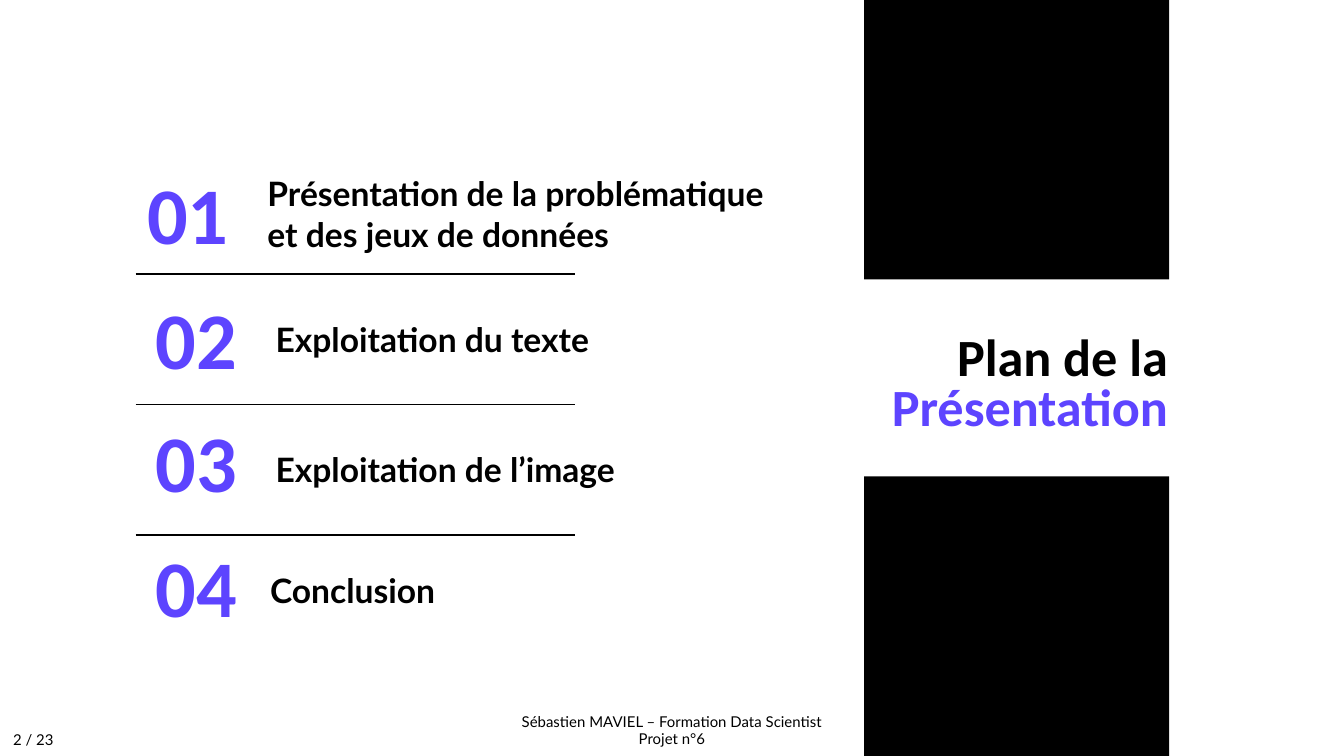
from dataclasses import dataclass

from lxml.etree import SubElement
from pptx import Presentation
from pptx.dml.color import RGBColor
from pptx.enum.shapes import MSO_CONNECTOR, MSO_SHAPE
from pptx.enum.text import MSO_ANCHOR, MSO_AUTO_SIZE, PP_ALIGN
from pptx.oxml.ns import qn
from pptx.util import Inches, Pt


@dataclass(frozen=True)
class Theme:
    ink: RGBColor = RGBColor(0, 0, 0)
    accent: RGBColor = RGBColor(0x5D, 0x44, 0xFF)
    paper: RGBColor = RGBColor(255, 255, 255)
    heading_font: str = "Calibri"
    body_font: str = "Lato"
    title_size: int = 28
    number_size: int = 43
    item_size: int = 18
    footer_size: int = 8


theme = Theme()


def write(box, *paragraphs, place, size, font=theme.body_font, color=theme.ink,
          bold=True, align=PP_ALIGN.LEFT, spacing=1.0, anchor=MSO_ANCHOR.TOP,
          inset=0.1):
    """Place a box and fill it; a paragraph is a list of (text, color) or a text."""
    box.left, box.top, box.width, box.height = map(Inches, place)
    frame = box.text_frame
    frame.word_wrap = True
    frame.auto_size = MSO_AUTO_SIZE.NONE
    frame.vertical_anchor = anchor
    frame.margin_left = frame.margin_right = Inches(0.1)
    frame.margin_top = frame.margin_bottom = Inches(inset)
    for index, content in enumerate(paragraphs):
        para = frame.paragraphs[0] if index == 0 else frame.add_paragraph()
        para.alignment = align
        para.line_spacing = spacing
        para.space_before = para.space_after = Pt(0)
        # Clear the bullet and indent of the placeholder
        properties = para._p.get_or_add_pPr()
        properties.set("marL", "0")
        properties.set("indent", "0")
        SubElement(properties, qn("a:buNone"))
        spans = [(content, color)] if isinstance(content, str) else content
        for text, span_color in spans:
            span = para.add_run()
            span.text = text
            span.font.name = font
            span.font.size = Pt(size)
            span.font.bold = bold
            span.font.color.rgb = span_color


# Widescreen page, 16:9
deck = Presentation()
deck.slide_width, deck.slide_height = Inches(10), Inches(10 * 9 / 16)
page = deck.slides.add_slide(deck.slide_layouts.get_by_name("Comparison"))
page.background.fill.solid()
page.background.fill.fore_color.rgb = theme.paper
title, *item_boxes = page.placeholders

# Footer and page number
footer_style = dict(size=theme.footer_size, bold=False, inset=0.05)
write(page.shapes.add_textbox(0, 0, 0, 0),
      "Sébastien MAVIEL – Formation Data Scientist", "Projet n°6",
      place=(3.21, 5.25, 3.58, 0.37), align=PP_ALIGN.CENTER, **footer_style)
write(page.shapes.add_textbox(0, 0, 0, 0), "2 / 23",
      place=(0, 5.39, 0.67, 0.24), **footer_style)

# Black blocks at the top and bottom edges, around the title
block_height = Inches(2.08)
for top in (0, deck.slide_height - block_height):
    block = page.shapes.add_shape(MSO_SHAPE.RECTANGLE, Inches(6.43), top,
                                  Inches(2.27), block_height)
    block.shadow.inherit = False
    block.fill.solid()
    block.fill.fore_color.rgb = theme.ink
    block.line.fill.background()

# Title
heading_style = dict(font=theme.heading_font, align=PP_ALIGN.RIGHT, spacing=0.8)
write(title, [("Plan de la ", theme.ink), ("Présentation", theme.accent)],
      place=(5.98, 2.4, 2.81, 1.07), size=theme.title_size, **heading_style)

# Agenda: text, its place, then left and top of its number
agenda = [
    ("Présentation de la problématique et des jeux de données",
     (1.89, 1.19, 4.15, 0.78), 0.8, 1.33),
    ("Exploitation du texte", (1.95, 2.27, 3.47, 0.43), 0.86, 2.26),
    ("Exploitation de l’image", (1.95, 3.24, 3.47, 0.43), 0.86, 3.18),
    ("Conclusion", (1.91, 4.14, 3.47, 0.43), 0.86, 4.11),
]
for number, (box, (text, place, left, top)) in enumerate(zip(item_boxes, agenda), 1):
    write(box, text, place=place, size=theme.item_size)
    write(page.shapes.add_textbox(0, 0, 0, 0), f"{number:02}",
          place=(left, top, 1, 0.63), size=theme.number_size, color=theme.accent,
          anchor=MSO_ANCHOR.MIDDLE, **heading_style)

# Dividers between the agenda items
for row in range(len(agenda) - 1):
    height = Inches(2.04 + 0.97 * row)
    divider = page.shapes.add_connector(MSO_CONNECTOR.STRAIGHT, Inches(1.01), height,
                                        Inches(4.28), height)
    divider.line.color.rgb = theme.ink
    divider.line.width = Pt(0.75)
    SubElement(divider._element.spPr, qn("a:effectLst"))

deck.save("out.pptx")
